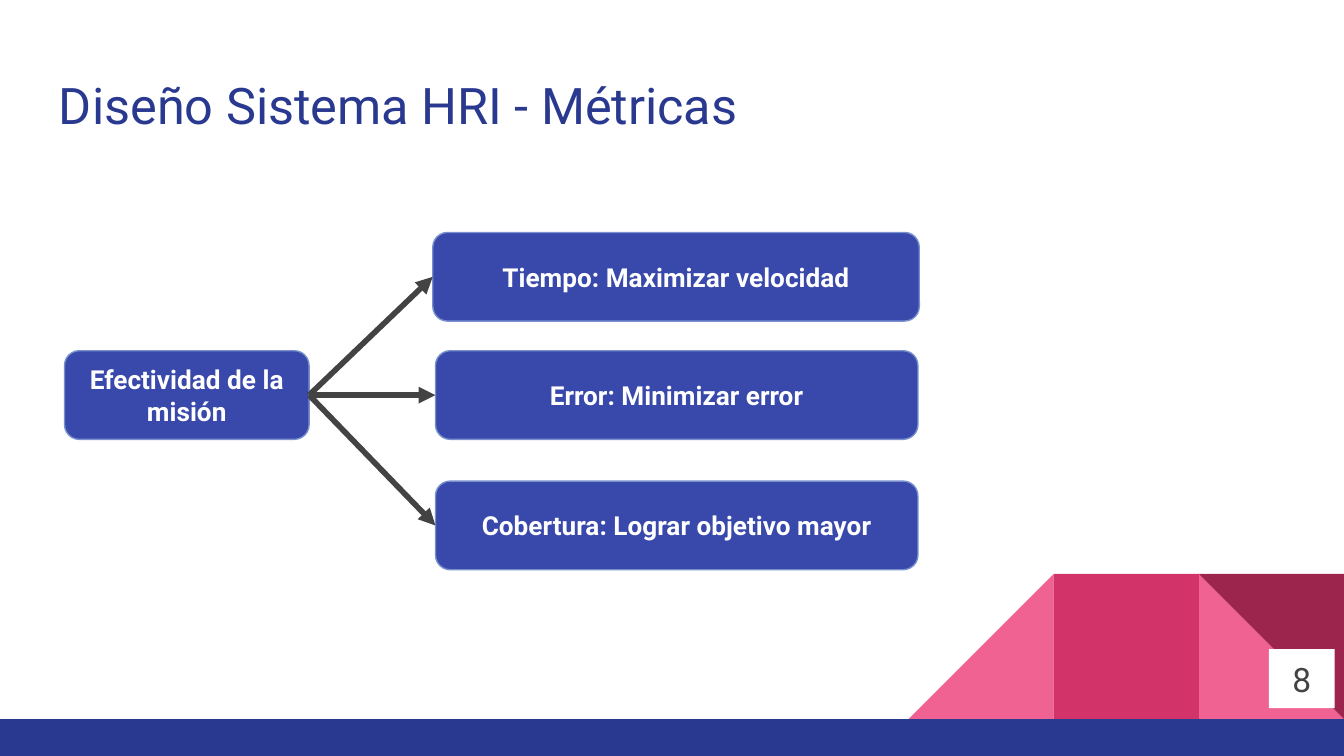
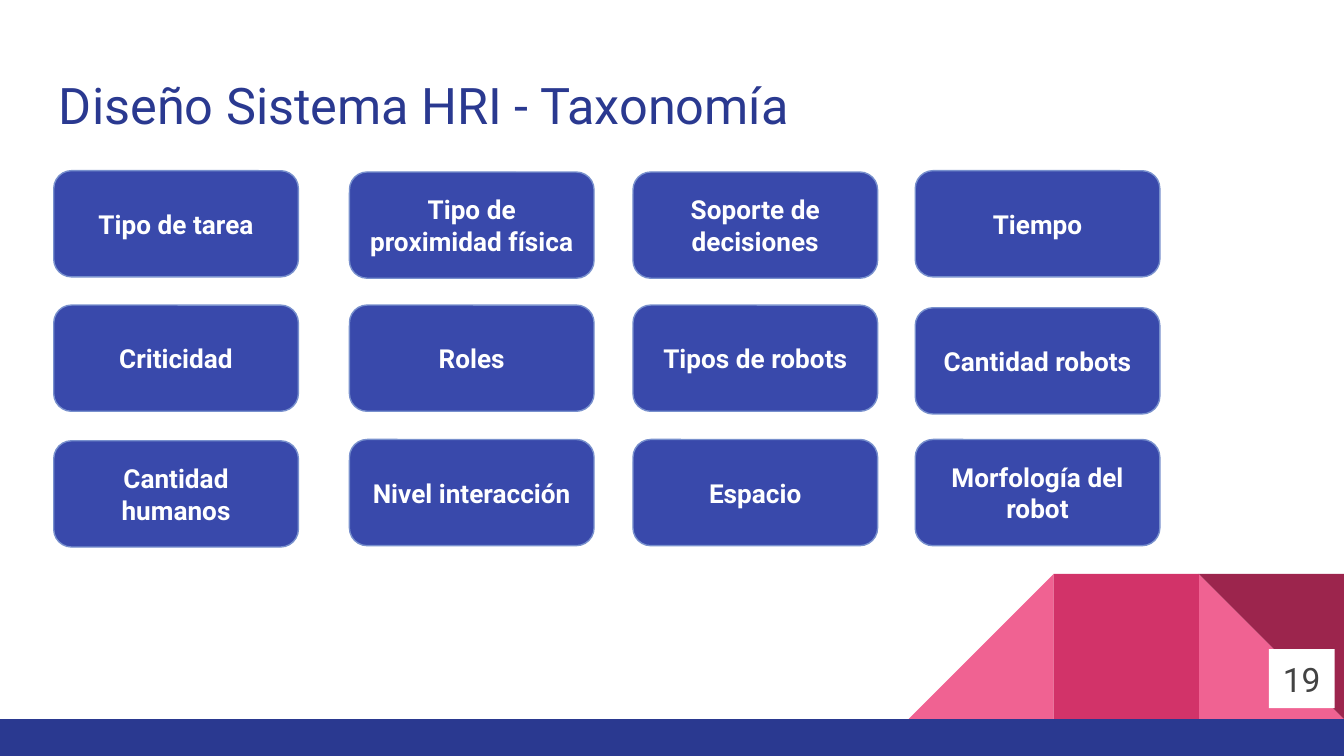
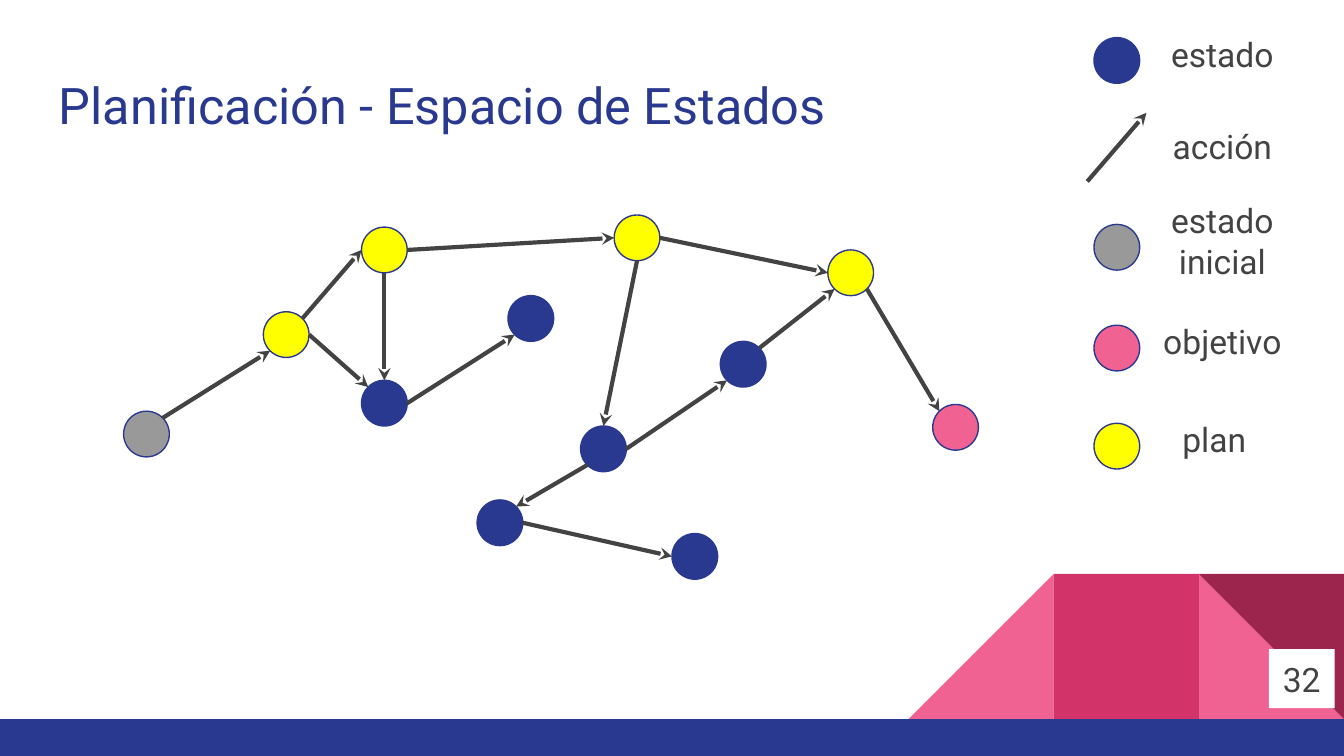
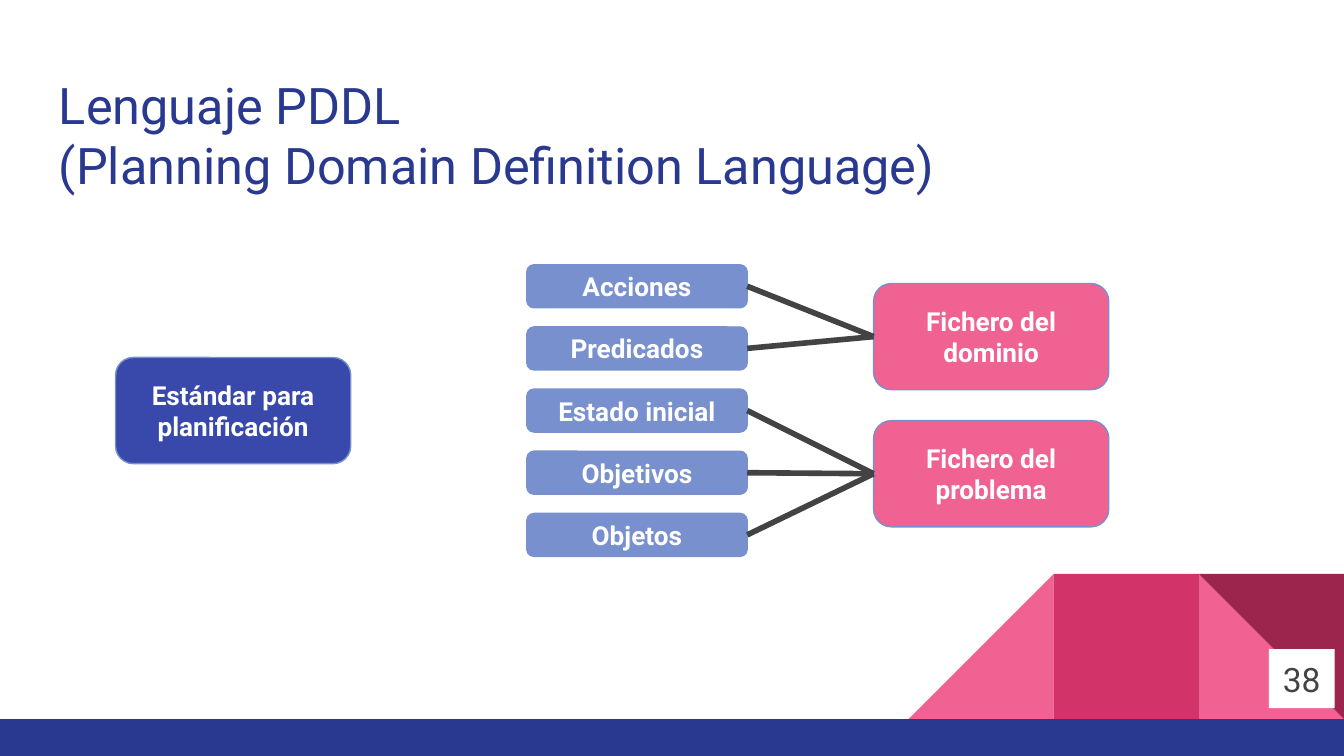
"""Build four slides on HRI design, state-space planning and PDDL."""
from lxml.etree import SubElement
from pptx import Presentation
from pptx.dml.color import RGBColor
from pptx.enum.shapes import MSO_CONNECTOR, MSO_SHAPE
from pptx.enum.text import MSO_ANCHOR, PP_ALIGN
from pptx.oxml.ns import qn
from pptx.util import Inches, Pt

NAVY = RGBColor(0x2A, 0x39, 0x90)
INDIGO = RGBColor(0x39, 0x49, 0xAB)
PERIWINKLE = RGBColor(0x78, 0x90, 0xCD)
PINK = RGBColor(0xF0, 0x62, 0x92)
CRIMSON = RGBColor(0xD2, 0x33, 0x69)
BURGUNDY = RGBColor(0x9C, 0x25, 0x4D)
YELLOW = RGBColor(0xFF, 0xFF, 0x00)
GRAY = RGBColor(0x99, 0x99, 0x99)
CHARCOAL = RGBColor(0x43, 0x43, 0x43)
WHITE = RGBColor(0xFF, 0xFF, 0xFF)

TITLE = {"name": "Roboto", "size": Pt(27), "bold": False}
LABEL = {"name": "Roboto", "size": Pt(18), "bold": False}
BOX = {"name": "Roboto", "size": Pt(14), "bold": True}
FRAME = {
    "word_wrap": True,
    "vertical_anchor": MSO_ANCHOR.MIDDLE,
    "margin_left": Inches(0.1),
    "margin_right": Inches(0.1),
    "margin_top": Inches(0.1),
    "margin_bottom": Inches(0.1),
}


def add_item(slide, kind, place, fill=None, line=None, text="",
             style=BOX, color=WHITE, align=PP_ALIGN.CENTER):
    """Add a preset shape, or a text box when kind is None."""
    lengths = [Inches(value) for value in place]
    if kind is None:
        shape = slide.shapes.add_textbox(*lengths)
    else:
        shape = slide.shapes.add_shape(kind, *lengths)
        shape.shadow.inherit = False
        shape.fill.solid()
        shape.fill.fore_color.rgb = fill
        if line is None:
            shape.line.fill.background()
        else:
            shape.line.color.rgb = line
            shape.line.width = Pt(0.75)
    if text:
        text_frame = shape.text_frame
        for name, value in FRAME.items():
            setattr(text_frame, name, value)
        text_frame.text = text
        for paragraph in text_frame.paragraphs:
            paragraph.alignment = align
            paragraph.font.color.rgb = color
            for name, value in style.items():
                setattr(paragraph.font, name, value)
    return shape


def add_line(slide, start, end, width, arrowhead=None):
    """Add a straight charcoal connector between two points in inches."""
    points = [Inches(value) for value in (*start, *end)]
    connector = slide.shapes.add_connector(MSO_CONNECTOR.STRAIGHT, *points)
    connector.line.color.rgb = CHARCOAL
    connector.line.width = Pt(width)
    if arrowhead:
        SubElement(connector.line._get_or_add_ln(), qn("a:tailEnd"), type=arrowhead)
    SubElement(connector._element.spPr, qn("a:effectLst"))
    return connector


presentation = Presentation()
presentation.slide_width = Inches(10)
presentation.slide_height = Inches(10) * 9 // 16

DECORATIONS = [
    (MSO_SHAPE.RIGHT_TRIANGLE, (8.92, 4.27, 1.08, 1.08), PINK, 0),
    (MSO_SHAPE.RIGHT_TRIANGLE, (6.76, 4.27, 1.08, 1.08), PINK, 270),
    (MSO_SHAPE.RECTANGLE, (7.84, 4.27, 1.08, 1.08), CRIMSON, 0),
    (MSO_SHAPE.RIGHT_TRIANGLE, (8.92, 4.27, 1.08, 1.08), BURGUNDY, 180),
    (MSO_SHAPE.RECTANGLE, (0, 5.35, 10, 0.28), NAVY, 0),
]
HEADINGS = [
    ("Diseño Sistema HRI - Métricas", 9.32, 8),
    ("Diseño Sistema HRI - Taxonomía", 9.32, 19),
    ("Planificación - Espacio de Estados", 6.6, 32),
    ("Lenguaje PDDL\n(Planning Domain Definition Language)", 6.83, 38),
]
slides = []
for heading, heading_width, page_number in HEADINGS:
    slide = presentation.slides.add_slide(presentation.slide_layouts[6])
    for kind, place, fill, rotation in DECORATIONS:
        add_item(slide, kind, place, fill).rotation = rotation
    title = add_item(slide, None, (0.34, 0.45, heading_width, 0.66), text=heading,
                     style=TITLE, color=NAVY, align=PP_ALIGN.LEFT)
    title.text_frame.vertical_anchor = MSO_ANCHOR.TOP
    add_item(slide, MSO_SHAPE.RECTANGLE, (9.44, 4.83, 0.49, 0.44), WHITE,
             text=str(page_number), style=LABEL, color=CHARCOAL)
    slides.append(slide)
metrics_slide, taxonomy_slide, states_slide, language_slide = slides

effectiveness = add_item(metrics_slide, MSO_SHAPE.ROUNDED_RECTANGLE, (0.48, 2.61, 1.82, 0.66),
                         INDIGO, PERIWINKLE, "Efectividad de la misión")
METRICS = [
    ("Tiempo: Maximizar velocidad", (3.22, 1.73, 3.62, 0.66)),
    ("Error: Minimizar error", (3.24, 2.61, 3.59, 0.66)),
    ("Cobertura: Lograr objetivo mayor", (3.24, 3.58, 3.59, 0.66)),
]
for text, place in METRICS:
    metric = add_item(metrics_slide, MSO_SHAPE.ROUNDED_RECTANGLE, place,
                      INDIGO, PERIWINKLE, text)
    arrow = add_line(metrics_slide, (0, 0), (0, 0), 3, "triangle")
    arrow.begin_connect(effectiveness, 3)
    arrow.end_connect(metric, 1)

TAXONOMY_COLUMNS = [
    (0.4, [("Tipo de tarea", 1.27), ("Criticidad", 2.27), ("Cantidad humanos", 3.28)]),
    (2.6, [("Tipo de proximidad física", 1.28), ("Roles", 2.27), ("Nivel interacción", 3.27)]),
    (4.71, [("Soporte de decisiones", 1.28), ("Tipos de robots", 2.27), ("Espacio", 3.27)]),
    (6.81, [("Tiempo", 1.27), ("Cantidad robots", 2.29), ("Morfología del robot", 3.27)]),
]
for left, categories in TAXONOMY_COLUMNS:
    for text, top in categories:
        add_item(taxonomy_slide, MSO_SHAPE.ROUNDED_RECTANGLE, (left, top, 1.82, 0.79),
                 INDIGO, PERIWINKLE, text)

RADIUS = 0.17
DIAGONAL = 0.12
SITES = {
    "N": (0, -RADIUS), "S": (0, RADIUS), "W": (-RADIUS, 0), "E": (RADIUS, 0),
    "NE": (DIAGONAL, -DIAGONAL), "NW": (-DIAGONAL, -DIAGONAL),
    "SE": (DIAGONAL, DIAGONAL), "SW": (-DIAGONAL, DIAGONAL),
}
STATES = {
    "initial": (0.92, 3.06, GRAY),
    "plan 1": (1.96, 2.32, YELLOW),
    "plan 2": (2.69, 1.69, YELLOW),
    "plan 3": (4.57, 1.6, YELLOW),
    "plan 4": (6.16, 1.86, YELLOW),
    "goal": (6.94, 3.01, PINK),
    "state 1": (2.69, 2.83, NAVY),
    "state 2": (3.78, 2.2, NAVY),
    "state 3": (4.32, 3.17, NAVY),
    "state 4": (5.36, 2.54, NAVY),
    "state 5": (3.55, 3.72, NAVY),
    "state 6": (5, 3.97, NAVY),
}
ACTIONS = [
    ("initial", "NE", "plan 1", "SW"),
    ("plan 1", "NE", "plan 2", "W"),
    ("plan 1", "E", "state 1", "NW"),
    ("plan 2", "S", "state 1", "N"),
    ("plan 2", "E", "plan 3", "W"),
    ("state 1", "E", "state 2", "SW"),
    ("plan 3", "S", "state 3", "N"),
    ("plan 3", "E", "plan 4", "W"),
    ("state 3", "E", "state 4", "SW"),
    ("state 3", "SW", "state 5", "NE"),
    ("state 4", "NE", "plan 4", "SW"),
    ("state 5", "E", "state 6", "W"),
    ("plan 4", "SE", "goal", "NW"),
]
for left, top, fill in STATES.values():
    add_item(states_slide, MSO_SHAPE.OVAL, (left, top, 2 * RADIUS, 2 * RADIUS), fill, NAVY)
for source, source_site, target, target_site in ACTIONS:
    ends = []
    for state, site in ((source, source_site), (target, target_site)):
        left, top, fill = STATES[state]
        across, down = SITES[site]
        ends.append((left + RADIUS + across, top + RADIUS + down))
    add_line(states_slide, *ends, 2.25, "stealth")

LEGEND = [
    ("estado", 8.54, 0.18, 0.28, NAVY),
    ("acción", 8.54, 0.87, None, None),
    ("estado inicial", 8.54, 1.57, 1.67, GRAY),
    ("objetivo", 8.54, 2.32, 2.42, PINK),
    ("plan", 8.48, 3.05, 3.15, YELLOW),
]
for text, left, top, circle_top, fill in LEGEND:
    if fill is None:
        add_line(states_slide, (8.09, 1.35), (8.53, 0.84), 2.25, "stealth")
    else:
        add_item(states_slide, MSO_SHAPE.OVAL, (8.14, circle_top, 2 * RADIUS, 2 * RADIUS),
                 fill, NAVY)
    add_item(states_slide, None, (left, top, 1.11, 0.44), text=text,
             style=LABEL, color=CHARCOAL)

add_item(language_slide, MSO_SHAPE.ROUNDED_RECTANGLE, (0.86, 2.66, 1.75, 0.79),
         INDIGO, PERIWINKLE, "Estándar para planificación")
FILES = [
    ("Fichero del dominio", 2.11, ["Acciones", "Predicados"]),
    ("Fichero del problema", 3.13, ["Estado inicial", "Objetivos", "Objetos"]),
]
FIRST_PART_TOP = 1.97
LAST_PART_TOP = 3.82
part_step = (LAST_PART_TOP - FIRST_PART_TOP) / 4
part_top = FIRST_PART_TOP
for file_name, file_top, parts in FILES:
    file_box = add_item(language_slide, MSO_SHAPE.ROUNDED_RECTANGLE,
                        (6.5, file_top, 1.75, 0.79), PINK, PERIWINKLE, file_name)
    for text in parts:
        part = add_item(language_slide, MSO_SHAPE.ROUNDED_RECTANGLE,
                        (3.92, part_top, 1.64, 0.32), PERIWINKLE, PERIWINKLE, text)
        link = add_line(language_slide, (0, 0), (0, 0), 3)
        link.begin_connect(part, 3)
        link.end_connect(file_box, 1)
        part_top += part_step

presentation.save("out.pptx")
